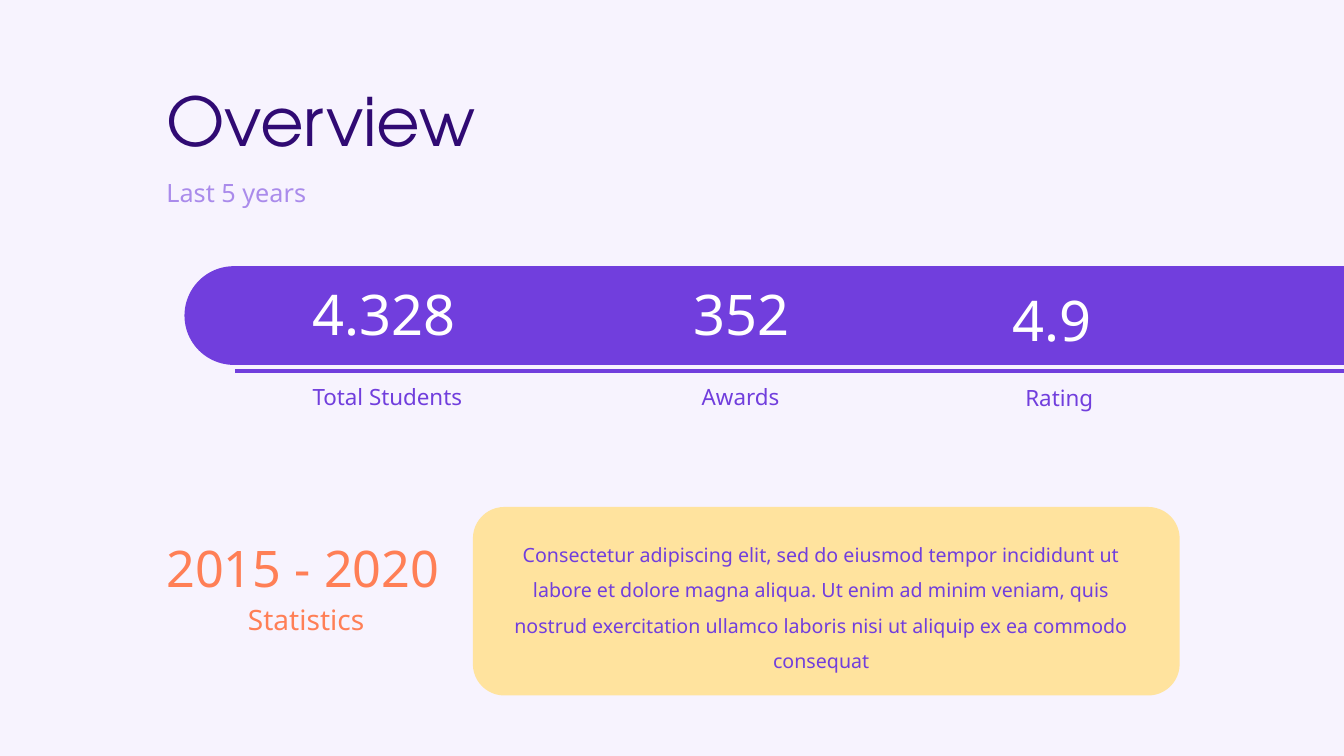
import pptx
import pptx.dml.color
import pptx.enum.shapes
import pptx.enum.text
import pptx.oxml
import pptx.oxml.ns
import pptx.util

Inches = pptx.util.Inches
RGBColor = pptx.dml.color.RGBColor
Shapes = pptx.enum.shapes.MSO_SHAPE
LEFT = pptx.enum.text.PP_ALIGN.LEFT
CENTER = pptx.enum.text.PP_ALIGN.CENTER

BACKGROUND = RGBColor(0xF7, 0xF3, 0xFE)
INDIGO = RGBColor(0x30, 0x0A, 0x73)
PURPLE = RGBColor(0x71, 0x3E, 0xDD)
LAVENDER = RGBColor(0xAA, 0x8B, 0xEB)
ORANGE = RGBColor(0xFF, 0x7F, 0x56)
YELLOW = RGBColor(0xFF, 0xE3, 0x9E)
WHITE = RGBColor(0xFF, 0xFF, 0xFF)

BODY_FONT = "Noto Sans"
TITLE_FONT = "TeX Gyre Adventor"
SUMMARY = (
    "Consectetur adipiscing elit, sed do eiusmod tempor incididunt ut labore et "
    "dolore magna aliqua. Ut enim ad minim veniam, quis nostrud exercitation "
    "ullamco laboris nisi ut aliquip ex ea commodo consequat"
)


def set_attributes(target, values):
    for name, value in values.items():
        setattr(target, name, value)


class SlideBuilder:
    inset = Inches(0.13)

    def __init__(self, presentation):
        self.slide = presentation.slides.add_slide(presentation.slide_layouts[5])
        fill = self.slide.background.fill
        fill.solid()
        fill.fore_color.rgb = BACKGROUND

    def format_text(self, shape, text, size, color, font=BODY_FONT, align=LEFT, spacing=1.0):
        frame = shape.text_frame
        set_attributes(frame, {
            "text": text,
            "word_wrap": True,
            "auto_size": pptx.enum.text.MSO_AUTO_SIZE.NONE,
            "vertical_anchor": pptx.enum.text.MSO_ANCHOR.TOP,
            "margin_left": self.inset,
            "margin_top": self.inset,
            "margin_right": self.inset,
            "margin_bottom": self.inset,
        })
        paragraph = frame.paragraphs[0]
        set_attributes(paragraph, {"alignment": align, "line_spacing": spacing})
        run_font = paragraph.runs[0].font
        set_attributes(run_font, {"size": pptx.util.Pt(size), "name": font})
        run_font.color.rgb = color

    def title(self, box, text, size, color):
        shape = self.slide.shapes.title
        set_attributes(shape, dict(zip(("left", "top", "width", "height"), map(Inches, box))))
        self.format_text(shape, text, size, color, TITLE_FONT)

    def text(self, box, text, size, color, **style):
        shape = self.slide.shapes.add_textbox(*map(Inches, box))
        self.format_text(shape, text, size, color, **style)

    def panel(self, kind, box, color):
        shape = self.slide.shapes.add_shape(kind, *map(Inches, box))
        shape.shadow.inherit = False
        shape.fill.solid()
        shape.fill.fore_color.rgb = color
        shape.line.fill.background()
        return shape

    def line(self, start, end, color, width):
        connector = self.slide.shapes.add_connector(
            pptx.enum.shapes.MSO_CONNECTOR.STRAIGHT, *map(Inches, start + end)
        )
        connector.line.color.rgb = color
        connector.line.width = pptx.util.Pt(width)
        properties = connector._element.spPr
        properties.append(pptx.oxml.parse_xml(
            f"<a:effectLst {pptx.oxml.ns.nsdecls('a')}/>"
        ))


def main():
    presentation = pptx.Presentation()
    presentation.slide_width = Inches(13.33)
    presentation.slide_height = Inches(7.5)
    builder = SlideBuilder(presentation)

    builder.title((1.52, 0.66, 7.9, 0.92), "Overview", 48, INDIGO)
    builder.text((1.52, 1.63, 3.08, 0.52), "Last 5 years", 18, LAVENDER)

    band = builder.panel(Shapes.ROUND_2_SAME_RECTANGLE, (7.09, -2.62, 0.98, 11.5), PURPLE)
    band.rotation = 270
    band.adjustments[0] = 0.5
    builder.line((2.33, 3.68), (13.33, 3.68), PURPLE, 2.75)

    metrics = [
        ("4.328", (2.97, 2.64, 2.71), "Total Students", (2.97, 3.67, 2.14), LEFT),
        ("352", (6.55, 2.64, 1.6), "Awards", (6.73, 3.67, 1.23), CENTER),
        ("4.9", (9.91, 2.7, 2.71), "Rating", (10.04, 3.68, 1.23), LEFT),
    ]
    for value, value_box, label, label_box, align in metrics:
        builder.text(value_box + (0.92,), value, 40, WHITE, align=align)
        builder.text(label_box + (0.52,), label, 16, PURPLE, align=align)

    builder.text((1.52, 5.2, 3.27, 0.68), "2015 - 2020", 36, ORANGE)
    builder.text((2.33, 5.85, 1.86, 0.63), "Statistics", 20, ORANGE)
    builder.panel(Shapes.ROUNDED_RECTANGLE, (4.69, 5.03, 7.01, 1.87), YELLOW)
    builder.text((4.93, 5.14, 6.43, 1.59), SUMMARY, 14, PURPLE, align=CENTER, spacing=1.5)

    presentation.save("out.pptx")


if __name__ == "__main__":
    main()
